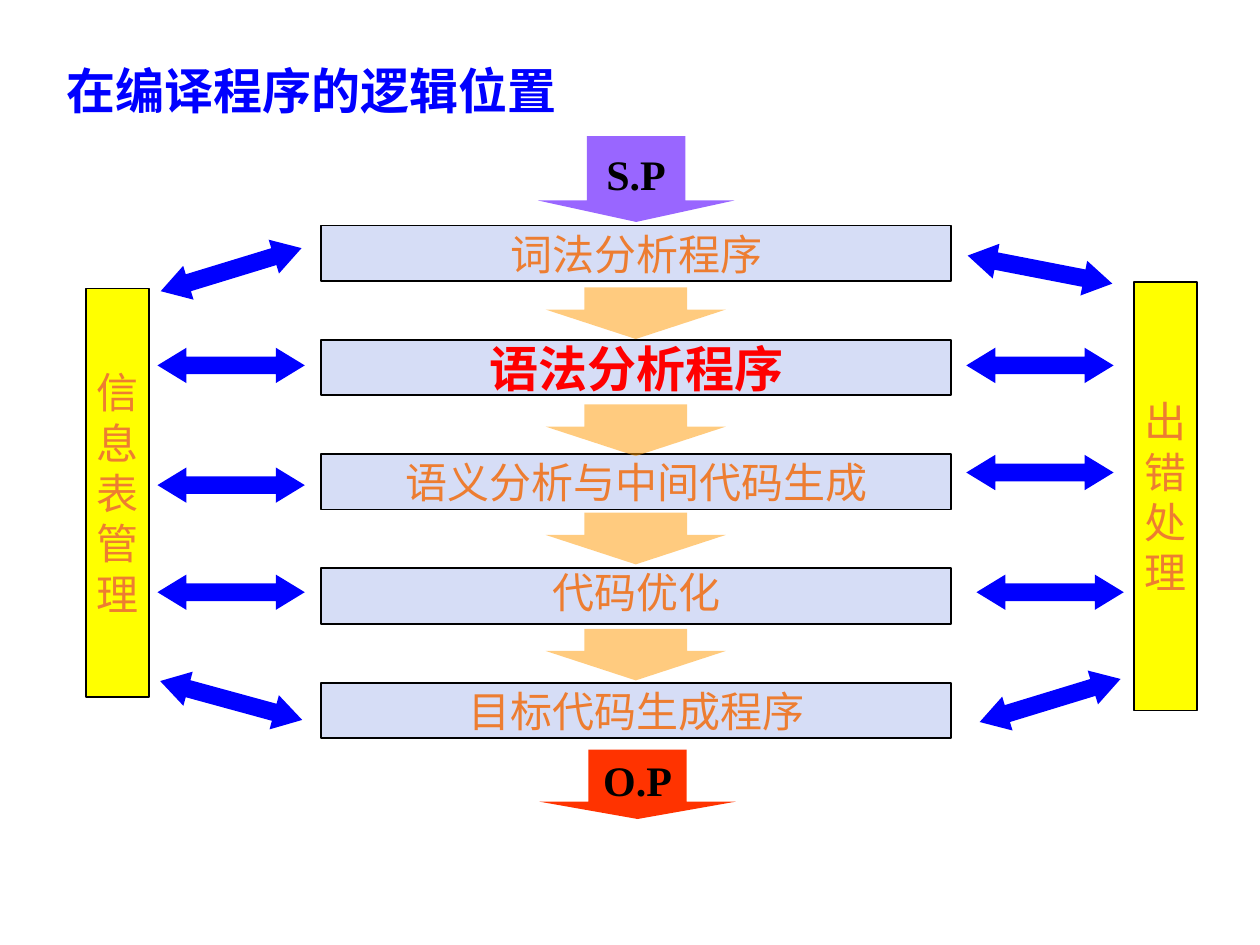
from lxml.etree import SubElement
from pptx import Presentation
from pptx.dml.color import RGBColor
from pptx.enum.shapes import MSO_SHAPE as Preset
from pptx.enum.text import MSO_ANCHOR as Anchor, MSO_AUTO_SIZE as AutoSize, PP_ALIGN as Align
from pptx.oxml.ns import qn
from pptx.util import Pt

CJK, LATIN = "Noto Sans CJK SC", "Times New Roman"
TITLE = "在编译程序的逻辑位置"
LABEL = {"size": 24, "name": CJK, "color": "ED7D31", "bold": False}
HEADING = {"size": 28, "name": CJK, "color": "0000FF", "bold": True}
CURRENT = {**HEADING, "color": "FF0000"}
CODE = {"size": 24, "name": LATIN, "color": "000000", "bold": True}

STAGES = [
    ("词法分析程序", LABEL, 1),
    ("语法分析程序", CURRENT, 1),
    ("语义分析与中间代码生成", LABEL, 1),
    ("代码优化", LABEL, 0.8),
    ("目标代码生成程序", LABEL, 1),
]
STAGE_LEFT, STAGE_TOP, STAGE_PITCH = 183.6, 128.9, 65.3
STAGE_SIZE = (360, 31.7)
STEP_TOPS = [164.2, 231.1, 293, 359.3]
ENDS = [
    ("S.P", "9966FF", (307.4, 77.8, 112.3, 49)),
    ("O.P", "FF3300", (308.2, 428.4, 112.3, 39.6)),
]
SIDES = [
    ("信息表管理", (49, 164.9, 36, 233.3)),
    ("出错处理", (648, 161.3, 36, 244.8)),
]
LINKS = [
    (90, 144, -17), (90, 198.7, 0), (90, 267.1, 0), (90, 328.3, 0), (90, 390.2, 15.3),
    (552.2, 144, 11), (552.2, 198.7, 0), (552.2, 259.9, 0), (558, 328.3, 0), (558, 390.2, -17),
]


def rgb(value):
    """Turn a hex string into a colour."""
    return RGBColor.from_string(value)


def write(shape, lines, style, align=Align.CENTER, spacing=1):
    """Write one styled paragraph per line."""
    frame = shape.text_frame
    frame.word_wrap = False
    frame.vertical_anchor = Anchor.MIDDLE
    for index, line in enumerate(lines):
        para = frame.add_paragraph() if index else frame.paragraphs[0]
        para.alignment = align
        para.line_spacing = spacing
        span = para.add_run()
        span.text = line
        formats = {**style, "size": Pt(style["size"])}
        span.font.color.rgb = rgb(formats.pop("color"))
        for name, value in formats.items():
            setattr(span.font, name, value)
        SubElement(span.font._element, qn("a:ea"), typeface=style["name"])


def draw(page, preset, place, fill, outline=None, adjust=(), alpha=None):
    """Add a flat preset shape at a place given in points."""
    shape = page.shapes.add_shape(preset, *map(Pt, place))
    shape.shadow.inherit = False
    shape.fill.solid()
    shape.fill.fore_color.rgb = rgb(fill)
    if alpha:
        color = shape._element.spPr.find(qn("a:solidFill"))[0]
        SubElement(color, qn("a:alpha"), val=str(alpha * 1000))
    if outline:
        shape.line.color.rgb = rgb(outline)
        shape.line.width = Pt(1)
    else:
        shape.line.fill.background()
    for index, value in enumerate(adjust):
        shape.adjustments[index] = value
    return shape


def main():
    """Build the slide of compiler stages."""
    deck = Presentation()
    deck.slide_width, deck.slide_height = Pt(720), Pt(540)
    page = deck.slides.add_slide(deck.slide_layouts[5])

    title = page.shapes.title
    title.left, title.top, title.width, title.height = map(Pt, (31, 31, 300, 41))
    write(title, [TITLE], HEADING, Align.LEFT)
    title.text_frame.auto_size = AutoSize.NONE
    title.text_frame.margin_right = Pt(0)

    for text, fill, place in ENDS:
        write(draw(page, Preset.DOWN_ARROW, place, fill, adjust=(0.5, 0.25)), [text], CODE)
    for index, (text, style, spacing) in enumerate(STAGES):
        place = (STAGE_LEFT, STAGE_TOP + index * STAGE_PITCH, *STAGE_SIZE)
        bar = draw(page, Preset.RECTANGLE, place, "D6DDF6", "000000")
        write(bar, [text], style, spacing=spacing)
    for top in STEP_TOPS:
        draw(page, Preset.DOWN_ARROW, (311.8, top, 103, 29.5), "FF9900",
             adjust=(0.57, 0.57), alpha=50)
    for text, place in SIDES:
        write(draw(page, Preset.RECTANGLE, place, "FFFF00", "000000"), text, LABEL)
    for left, top, angle in LINKS:
        arrow = draw(page, Preset.LEFT_RIGHT_ARROW, (left, top, 84.2, 20.2), "0000FF",
                     adjust=(0.5, 0.82))
        arrow.rotation = angle

    deck.save("out.pptx")


if __name__ == "__main__":
    main()
